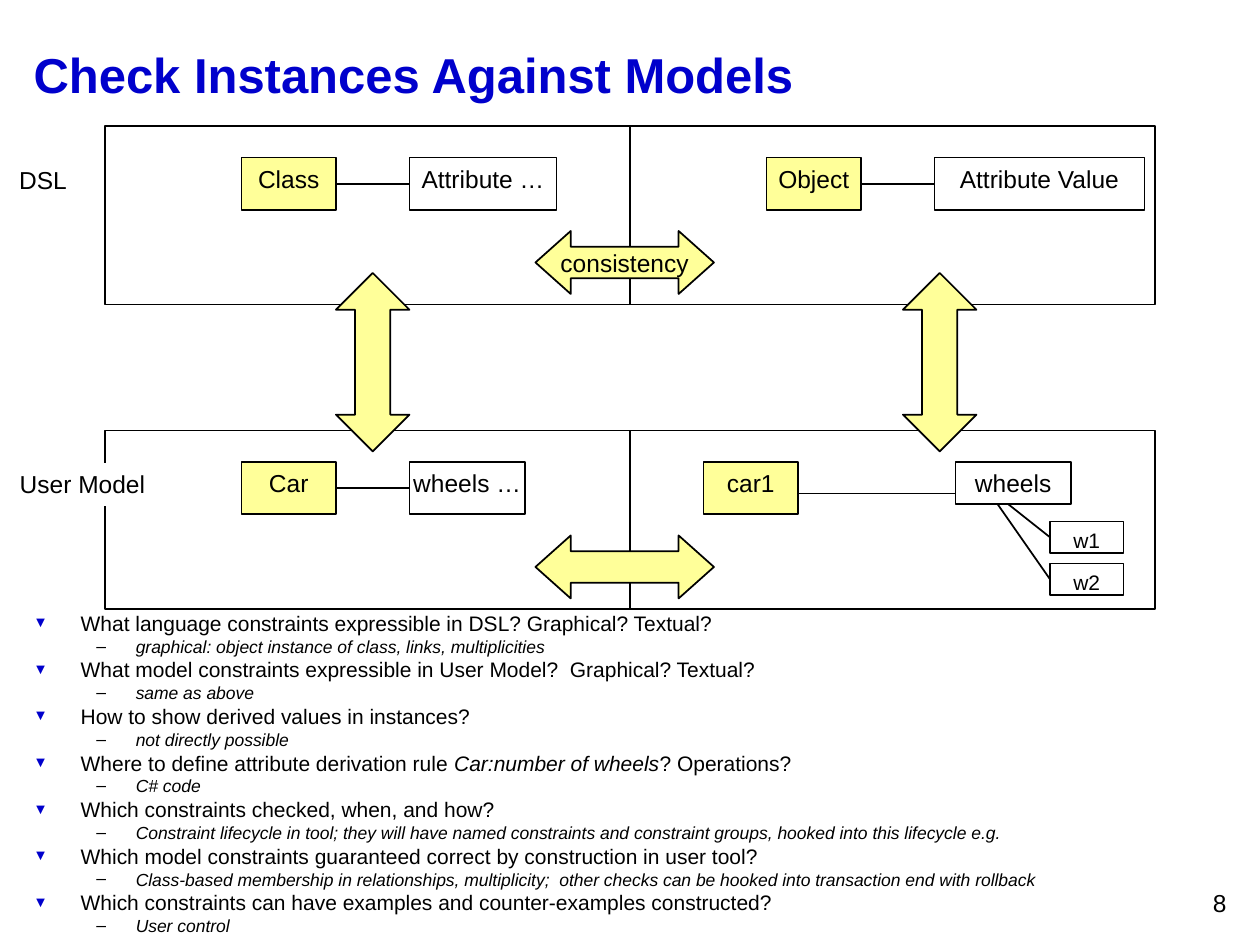
from lxml import etree
from pptx import Presentation
from pptx.dml.color import RGBColor
from pptx.enum.shapes import MSO_CONNECTOR, MSO_SHAPE
from pptx.enum.text import MSO_ANCHOR, PP_ALIGN
from pptx.oxml.ns import qn
from pptx.util import Pt

RECT, ACROSS, UPDOWN = (MSO_SHAPE.RECTANGLE, MSO_SHAPE.LEFT_RIGHT_ARROW,
                        MSO_SHAPE.UP_DOWN_ARROW)
STRAIGHT = MSO_CONNECTOR.STRAIGHT
LEFT, CENTER, RIGHT = PP_ALIGN.LEFT, PP_ALIGN.CENTER, PP_ALIGN.RIGHT
TOP, MIDDLE = MSO_ANCHOR.TOP, MSO_ANCHOR.MIDDLE
LEFT_SIDE, RIGHT_SIDE = 1, 3

BLACK, WHITE, YELLOW, BLUE = "000000", "FFFFFF", "FFFF99", "0000CC"
PANEL_W, PANEL_H = 600, 102

# Each question is a list of (text, italic) runs, followed by its answer
QUESTIONS = [
    ([("What language constraints expressible in DSL? Graphical? Textual?", False)],
     "graphical: object instance of class, links, multiplicities"),
    ([("What model constraints expressible in User Model?  Graphical? Textual?", False)],
     "same as above"),
    ([("How to show derived values in instances?", False)],
     "not directly possible"),
    ([("Where to define attribute derivation rule ", False),
      ("Car:number of wheels", True), ("? Operations?", False)],
     "C# code"),
    ([("Which constraints checked, when, and how?", False)],
     "Constraint lifecycle in tool; they will have named constraints and "
     "constraint groups, hooked into this lifecycle e.g."),
    ([("Which model constraints guaranteed correct by construction in user tool?", False)],
     "Class-based membership in relationships, multiplicity;  other checks can "
     "be hooked into transaction end with rollback"),
    ([("Which constraints can have examples and counter-examples constructed?", False)],
     "User control"),
]


def color(value):
    return RGBColor.from_string(value)


def add_run(paragraph, text, size=14, ink=BLACK, bold=False, italic=False):
    run = paragraph.add_run()
    run.text = text
    font = run.font
    font.name, font.size = "Arial", Pt(size)
    font.bold, font.italic = bold, italic
    font.color.rgb = color(ink)


def write(shape, text, align=CENTER, anchor=TOP, wrap=False, **font):
    frame = shape.text_frame
    frame.word_wrap = wrap
    frame.vertical_anchor = anchor
    paragraph = frame.paragraphs[0]
    paragraph.alignment = align
    add_run(paragraph, text, **font)


def add_box(slide, x, y, w, h, kind=RECT, fill=WHITE, outline=True):
    shape = slide.shapes.add_shape(kind, Pt(x), Pt(y), Pt(w), Pt(h))
    shape.shadow.inherit = False
    if fill:
        shape.fill.solid()
        shape.fill.fore_color.rgb = color(fill)
    else:
        shape.fill.background()
    if outline:
        shape.line.color.rgb = color(BLACK)
        shape.line.width = Pt(1)
    else:
        shape.line.fill.background()
    return shape


def add_node(slide, x, y, w, h, text, fill=WHITE, size=14):
    node = add_box(slide, x, y, w, h, fill=fill)
    write(node, text, size=size)
    return node


def add_line(slide, x1, y1, x2, y2):
    line = slide.shapes.add_connector(STRAIGHT, Pt(x1), Pt(y1), Pt(x2), Pt(y2))
    line.line.color.rgb = color(BLACK)
    line.line.width = Pt(1)
    etree.SubElement(line._element.spPr, qn("a:effectLst"))
    return line


def add_link(slide, source, target):
    link = add_line(slide, 0, 0, 0, 0)
    link.begin_connect(source, RIGHT_SIDE)
    link.end_connect(target, LEFT_SIDE)


def add_arrow(slide, kind, x, y, w, h, head):
    arrow = add_box(slide, x, y, w, h, kind=kind, fill=YELLOW)
    arrow.adjustments[0], arrow.adjustments[1] = 0.5, head
    return arrow


def add_panel(slide, x, y, owner, detail, detail_w):
    """Frame split in two, a linked pair on its left and an arrow across the split."""
    add_box(slide, x, y, PANEL_W, PANEL_H, fill=None)
    middle = x + PANEL_W / 2
    add_line(slide, middle, y, middle, y + PANEL_H)
    add_pair(slide, x + 78, y + 18, owner, detail, detail_w)
    return add_arrow(slide, ACROSS, x + 246, y + 60, 102, 36, 0.56)


def add_pair(slide, x, y, owner, detail, detail_w):
    owner_node = add_node(slide, x, y, 54, 30, owner, fill=YELLOW)
    detail_node = add_node(slide, x + 96, y, detail_w, 30, detail)
    add_link(slide, owner_node, detail_node)


def add_dsl_panel(slide, x, y):
    consistency = add_panel(slide, x, y, "Class", "Attribute …", 84)
    write(consistency, "consistency", anchor=MIDDLE)
    add_pair(slide, x + 378, y + 18, "Object", "Attribute Value", 120)
    label = slide.shapes.add_textbox(Pt(x - 56.4), Pt(y + 18.7), Pt(42), Pt(24.5))
    write(label, "DSL")


def add_user_panel(slide, x, y):
    add_panel(slide, x, y, "Car", "wheels …", 66)
    add_node(slide, x + 342, y + 18, 54, 30, "car1", fill=YELLOW)
    add_node(slide, x + 486, y + 18, 66, 24, "wheels")
    add_line(slide, x + 396, y + 36, x + 486, y + 36)
    # Single wheels below their collection
    for i, name in enumerate(["w1", "w2"]):
        wheel = add_node(slide, x + 540, y + 52 + 24 * i, 42, 18, name, size=12)
        branch = add_line(slide, x + 516 - 6 * i, y + 42, x + 540, y + 60)
        branch.end_connect(wheel, LEFT_SIDE)
    label = add_box(slide, x - 55.7, y + 18.7, 85.7, 24.5, outline=False)
    write(label, "User Model")


def add_bullet(paragraph, char, ink, margin, indent, size=100):
    props = paragraph._p.get_or_add_pPr()
    props.set("marL", str(Pt(margin)))
    props.set("indent", str(Pt(-indent)))
    bullet_color = etree.SubElement(props, qn("a:buClr"))
    etree.SubElement(bullet_color, qn("a:srgbClr"), val=ink)
    etree.SubElement(props, qn("a:buSzPct"), val=str(size * 1000))
    etree.SubElement(props, qn("a:buFont"), typeface="Arial")
    etree.SubElement(props, qn("a:buChar"), char=char)


def add_questions(slide, x, y, w, h):
    frame = slide.shapes.add_textbox(Pt(x), Pt(y), Pt(w), Pt(h)).text_frame
    frame.word_wrap = True
    for i, (question, answer) in enumerate(QUESTIONS):
        asked = frame.add_paragraph() if i else frame.paragraphs[0]
        add_bullet(asked, "▼", BLUE, 27, 27, size=70)
        asked.line_spacing = 0.8
        asked.space_before = Pt(3 if i else 0)
        for text, italic in question:
            add_run(asked, text, size=12, italic=italic)
        reply = frame.add_paragraph()
        reply.level = 1
        add_bullet(reply, "–", BLACK, 58.5, 22.5)
        reply.line_spacing = 0.8
        reply.space_before = Pt(2.5)
        add_run(reply, answer, size=10, italic=True)


def add_title(slide, x, y, w, h, text):
    title = slide.shapes.title
    title.left, title.top, title.width, title.height = Pt(x), Pt(y), Pt(w), Pt(h)
    write(title, text, align=LEFT, anchor=MIDDLE, wrap=True,
          size=28, ink=BLUE, bold=True)


def main():
    deck = Presentation()
    deck.slide_width, deck.slide_height = Pt(720), Pt(540)
    slide = deck.slides.add_slide(deck.slide_layouts[5])

    add_title(slide, 12, 12, 696, 60, "Check Instances Against Models")
    add_dsl_panel(slide, 60, 72)
    add_user_panel(slide, 60, 246)
    # Arrows between the two levels
    for x in (192, 516):
        add_arrow(slide, UPDOWN, x, 156, 42, 102, 0.48)
    add_questions(slide, 12, 348, 696, 192)
    # Slide number
    number = slide.shapes.add_textbox(Pt(558), Pt(504), Pt(150), Pt(24))
    write(number, "8", align=RIGHT, wrap=True)
    deck.save("out.pptx")


if __name__ == "__main__":
    main()
